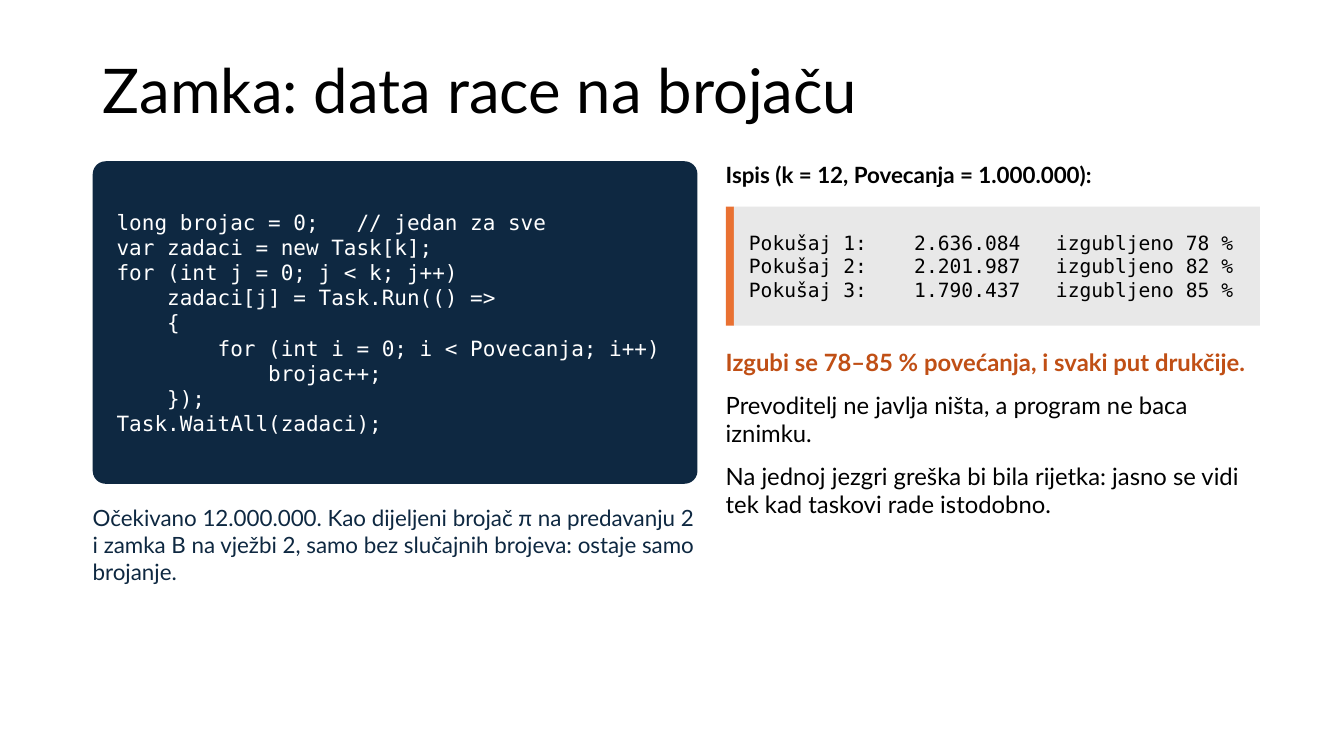
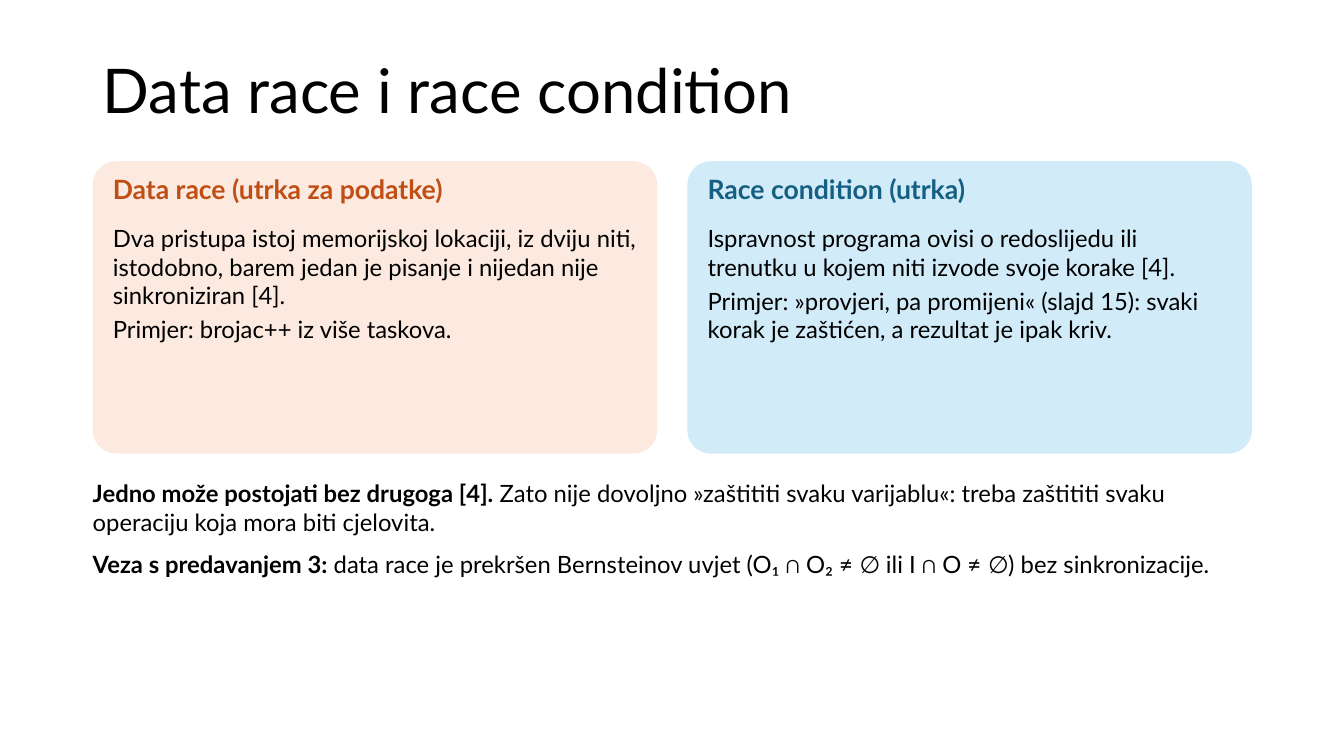
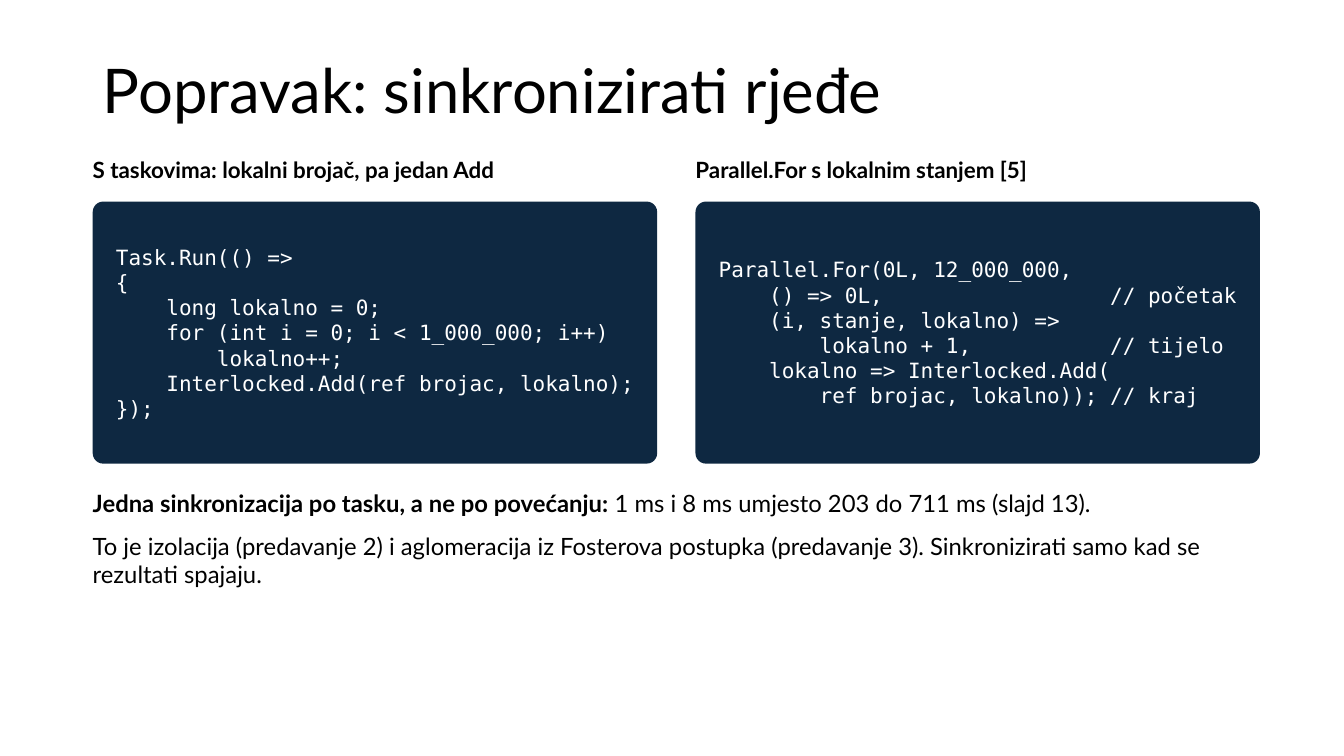
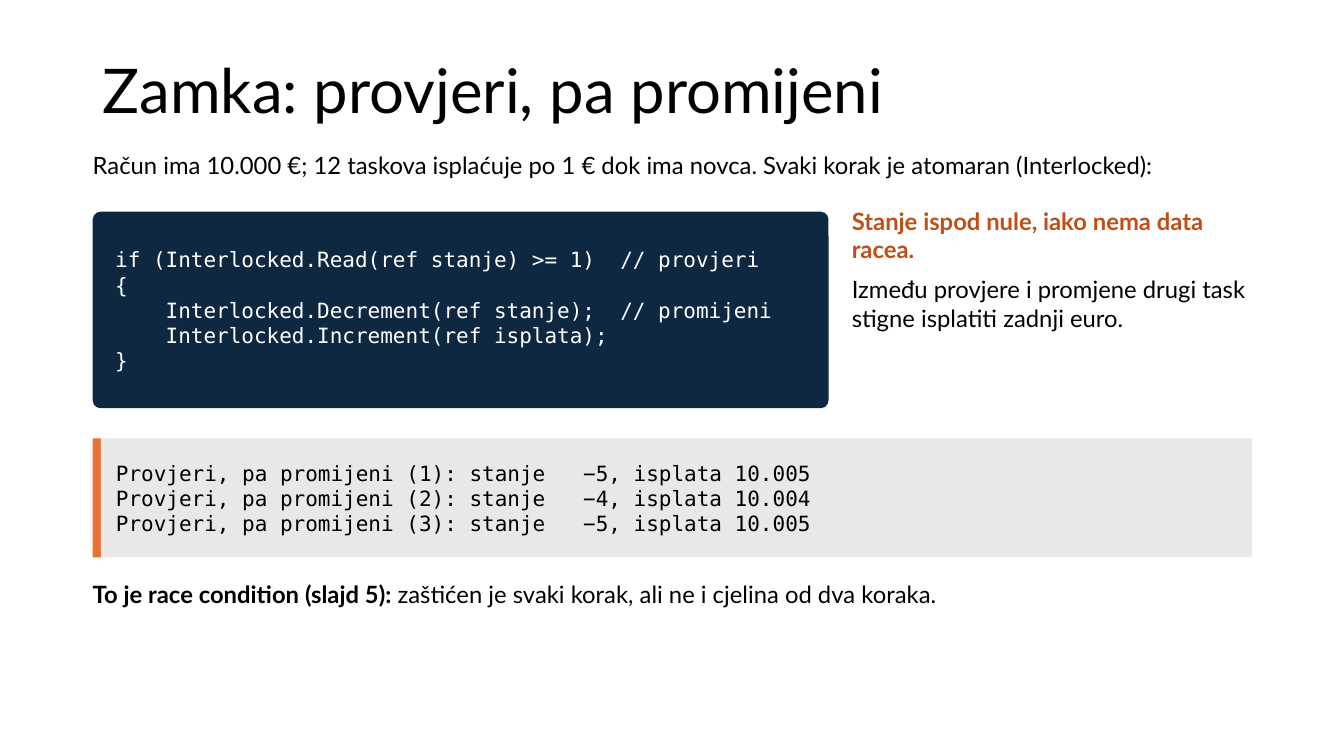
"""Build four lecture slides on data races and race conditions."""
from pptx import Presentation
from pptx.dml.color import RGBColor
from pptx.enum.shapes import MSO_SHAPE as Shape
from pptx.enum.text import MSO_ANCHOR as Anchor, MSO_AUTO_SIZE as AutoSize, PP_ALIGN as Align
from pptx.util import Pt

RACE = {
    "title": "Zamka: data race na brojaču",
    "code": """long brojac = 0;   // jedan za sve
var zadaci = new Task[k];
for (int j = 0; j < k; j++)
    zadaci[j] = Task.Run(() =>
    {
        for (int i = 0; i < Povecanja; i++)
            brojac++;
    });
Task.WaitAll(zadaci);""",
    "caption": [[("Očekivano 12.000.000. Kao dijeljeni brojač π na predavanju 2 i zamka B na vježbi 2, "
                  "samo bez slučajnih brojeva: ostaje samo brojanje.", "caption")]],
    "heading": [[("Ispis (k = 12, Povecanja = 1.000.000):", "heading")]],
    "output": """Pokušaj 1:    2.636.084   izgubljeno 78 %
Pokušaj 2:    2.201.987   izgubljeno 82 %
Pokušaj 3:    1.790.437   izgubljeno 85 %""",
    "notes": [
        [("Izgubi se 78–85 % povećanja, i svaki put drukčije.", "alert")],
        [("Prevoditelj ne javlja ništa, a program ne baca iznimku.", "body")],
        [("Na jednoj jezgri greška bi bila rijetka: jasno se vidi tek kad taskovi rade istodobno.", "body")],
    ],
}
TERMS = {
    "title": "Data race i race condition",
    "cards": [
        ("FCEAE0", [[("Data race (utrka za podatke)", "warm card")]], [
            [("Dva pristupa istoj memorijskoj lokaciji, iz dviju niti, istodobno, barem jedan je pisanje "
              "i nijedan nije sinkroniziran [4].", "body")],
            [("Primjer: brojac++ iz više taskova.", "body")]]),
        ("D1EBF8", [[("Race condition (utrka)", "cool card")]], [
            [("Ispravnost programa ovisi o redoslijedu ili trenutku u kojem niti izvode svoje korake [4].", "body")],
            [("Primjer: »provjeri, pa promijeni« (slajd 15): svaki korak je zaštićen, "
              "a rezultat je ipak kriv.", "body")]]),
    ],
    "notes": [
        [("Jedno može postojati bez drugoga [4]. ", "lead"),
         ("Zato nije dovoljno »zaštititi svaku varijablu«: treba zaštititi svaku operaciju "
          "koja mora biti cjelovita.", "body")],
        [("Veza s predavanjem 3: ", "lead"),
         ("data race je prekršen Bernsteinov uvjet (O₁ ∩ O₂ ≠ ∅ ili I ∩ O ≠ ∅) bez sinkronizacije.", "body")],
    ],
}
FIX = {
    "title": "Popravak: sinkronizirati rjeđe",
    "columns": [
        ([[("S taskovima: lokalni brojač, pa jedan Add", "heading")]], """Task.Run(() =>
{
    long lokalno = 0;
    for (int i = 0; i < 1_000_000; i++)
        lokalno++;
    Interlocked.Add(ref brojac, lokalno);
});"""),
        ([[("Parallel.For s lokalnim stanjem [5]", "heading")]], """Parallel.For(0L, 12_000_000,
    () => 0L,                  // početak
    (i, stanje, lokalno) =>
        lokalno + 1,           // tijelo
    lokalno => Interlocked.Add(
        ref brojac, lokalno)); // kraj"""),
    ],
    "notes": [
        [("Jedna sinkronizacija po tasku, a ne po povećanju: ", "lead"),
         ("1 ms i 8 ms umjesto 203 do 711 ms (slajd 13).", "body")],
        [("To je izolacija (predavanje 2) i aglomeracija iz Fosterova postupka (predavanje 3). "
          "Sinkronizirati samo kad se rezultati spajaju.", "body")],
    ],
}
CHECK = {
    "title": "Zamka: provjeri, pa promijeni",
    "intro": [[("Račun ima 10.000 €; 12 taskova isplaćuje po 1 € dok ima novca. "
                "Svaki korak je atomaran (Interlocked):", "body")]],
    "code": """if (Interlocked.Read(ref stanje) >= 1)  // provjeri
{
    Interlocked.Decrement(ref stanje);  // promijeni
    Interlocked.Increment(ref isplata);
}""",
    "notes": [
        [("Stanje ispod nule, iako nema data racea.", "alert")],
        [("Između provjere i promjene drugi task stigne isplatiti zadnji euro.", "body")],
    ],
    "output": """Provjeri, pa promijeni (1): stanje   −5, isplata 10.005
Provjeri, pa promijeni (2): stanje   −4, isplata 10.004
Provjeri, pa promijeni (3): stanje   −5, isplata 10.005""",
    "summary": [[("To je race condition (slajd 5): ", "lead"),
                 ("zaštićen je svaki korak, ali ne i cjelina od dva koraka.", "body")]],
}

SANS, MONO = "Lato", "DejaVu Sans Mono"
BLACK, WHITE, NAVY, RUST, ORANGE, GREY, TEAL = (
    "000000", "FFFFFF", "0E2841", "C04F15", "E97132", "E8E8E8", "156082")
STYLES = {
    "title": (SANS, 44, BLACK, False),
    "body": (SANS, 17, BLACK, False),
    "lead": (SANS, 17, BLACK, True),
    "alert": (SANS, 17, RUST, True),
    "heading": (SANS, 16, BLACK, True),
    "caption": (SANS, 16, NAVY, False),
    "warm card": (SANS, 19, RUST, True),
    "cool card": (SANS, 19, TEAL, True),
    "code": (MONO, 15, WHITE, False),
    "output": (MONO, 15, BLACK, False),
    "small output": (MONO, 14, BLACK, False),
}
PAGE_WIDTH, PAGE_HEIGHT = 960, 540
LEFT, WIDTH, RIGHT_EDGE = 66.24, 828, 900
COLUMN = 403.2
OUTPUT_HEIGHT, BAR = 84.96, 5.76


def color(value):
    """Turn a hex string into a colour."""
    return RGBColor.from_string(value)


def write(frame, paragraphs, margins=(0, 0, 0, 0), after=0, **settings):
    """Fill a text frame with paragraphs made of (text, style) runs."""
    sides = ("margin_left", "margin_top", "margin_right", "margin_bottom")
    settings.update(zip(sides, map(Pt, margins)), word_wrap=True)
    for name, value in settings.items():
        setattr(frame, name, value)
    for index, runs in enumerate(paragraphs):
        para = frame.add_paragraph() if index else frame.paragraphs[0]
        para.alignment = Align.LEFT
        para.space_after = Pt(after)
        for text, style in runs:
            span = para.add_run()
            span.text = text
            face, size, tint, bold = STYLES[style]
            for name, value in {"name": face, "size": Pt(size), "bold": bold}.items():
                setattr(span.font, name, value)
            span.font.color.rgb = color(tint)


def add_text(page, place, paragraphs, after=0):
    """Add a text box without margins."""
    box = page.shapes.add_textbox(*map(Pt, place))
    write(box.text_frame, paragraphs, after=after, auto_size=AutoSize.SHAPE_TO_FIT_TEXT)


def add_panel(page, place, fill, corner=0):
    """Add a plain filled rectangle, rounded when a corner is given."""
    panel = page.shapes.add_shape(Shape.ROUNDED_RECTANGLE if corner else Shape.RECTANGLE, *map(Pt, place))
    if corner:
        panel.adjustments[0] = corner
    panel.shadow.inherit = False
    panel.fill.solid()
    panel.fill.fore_color.rgb = color(fill)
    panel.line.fill.background()
    return panel


def add_lines(panel, text, style, indent):
    """Write monospaced lines in the middle of a panel."""
    write(panel.text_frame, [[(line, style)] for line in text.split("\n")],
          (indent, 3.6, 7.2, 3.6), vertical_anchor=Anchor.MIDDLE)


def add_code(page, place, text):
    """Add a dark rounded code panel."""
    add_lines(add_panel(page, place, NAVY, 0.04), text, "code", 14.4)


def add_output(page, left, top, width, text, style):
    """Add a grey program output panel with an accent bar."""
    add_panel(page, (left, top, BAR, OUTPUT_HEIGHT), ORANGE)
    panel = add_panel(page, (left + BAR, top, width - BAR, OUTPUT_HEIGHT), GREY)
    add_lines(panel, text, style, 10.8)


def add_page(deck, title):
    """Add a slide with its formatted title."""
    page = deck.slides.add_slide(deck.slide_layouts[5])
    holder = page.shapes.title
    for name, value in zip(("left", "top", "width", "height"), (LEFT, 28.8, WIDTH, 76.32)):
        setattr(holder, name, Pt(value))
    write(holder.text_frame, [[(title, "title")]], (7.2, 3.6, 7.2, 3.6),
          auto_size=AutoSize.NONE, vertical_anchor=Anchor.MIDDLE)
    holder.text_frame.paragraphs[0].line_spacing = 0.9
    return page


def build_race(deck):
    """Show the racing counter, its output and remarks."""
    page = add_page(deck, RACE["title"])
    top, code_width, right = 115.2, 432, 518.4
    width = RIGHT_EDGE - right
    add_code(page, (LEFT, top, code_width, 230.4), RACE["code"])
    add_text(page, (right, top, width, 28.8), RACE["heading"])
    add_output(page, right, 147.6, width, RACE["output"], "small output")
    add_text(page, (right, 248.4, width, 237.6), RACE["notes"], 10)
    add_text(page, (LEFT, 360, code_width, 115.2), RACE["caption"])


def build_terms(deck):
    """Compare two terms on cards."""
    page = add_page(deck, TERMS["title"])
    top, pad = 115.2, 14.4
    for index, (fill, heading, body) in enumerate(TERMS["cards"]):
        left = LEFT + index * (WIDTH - COLUMN)
        inner = COLUMN - 2 * pad
        add_panel(page, (left, top, COLUMN, 208.8), fill, 0.08)
        add_text(page, (left + pad, top + 8.64, inner, 32.4), heading)
        add_text(page, (left + pad, top + 44.64, inner, 158.4), body, 4)
    add_text(page, (LEFT, 342, WIDTH, 144), TERMS["notes"], 10)


def build_fix(deck):
    """Show two fixes side by side."""
    page = add_page(deck, FIX["title"])
    for left, (heading, code) in zip((LEFT, RIGHT_EDGE - COLUMN), FIX["columns"]):
        add_text(page, (left, 111.6, COLUMN, 28.8), heading)
        add_code(page, (left, 144, COLUMN, 187.2), code)
    add_text(page, (LEFT, 349.2, WIDTH, 136.8), FIX["notes"], 10)


def build_check(deck):
    """Show the check-then-change trap."""
    page = add_page(deck, CHECK["title"])
    right = 608.4
    add_text(page, (LEFT, 108, WIDTH, 36), CHECK["intro"])
    add_code(page, (LEFT, 151.2, 525.6, 140.4), CHECK["code"])
    add_text(page, (right, 147.6, RIGHT_EDGE - right, 158.4), CHECK["notes"], 8)
    add_output(page, LEFT, 313.2, WIDTH, CHECK["output"], "output")
    add_text(page, (LEFT, 414, WIDTH, 72), CHECK["summary"])


def main():
    """Build and save the deck."""
    deck = Presentation()
    deck.slide_width, deck.slide_height = Pt(PAGE_WIDTH), Pt(PAGE_HEIGHT)
    for build in (build_race, build_terms, build_fix, build_check):
        build(deck)
    deck.save("out.pptx")


if __name__ == "__main__":
    main()
